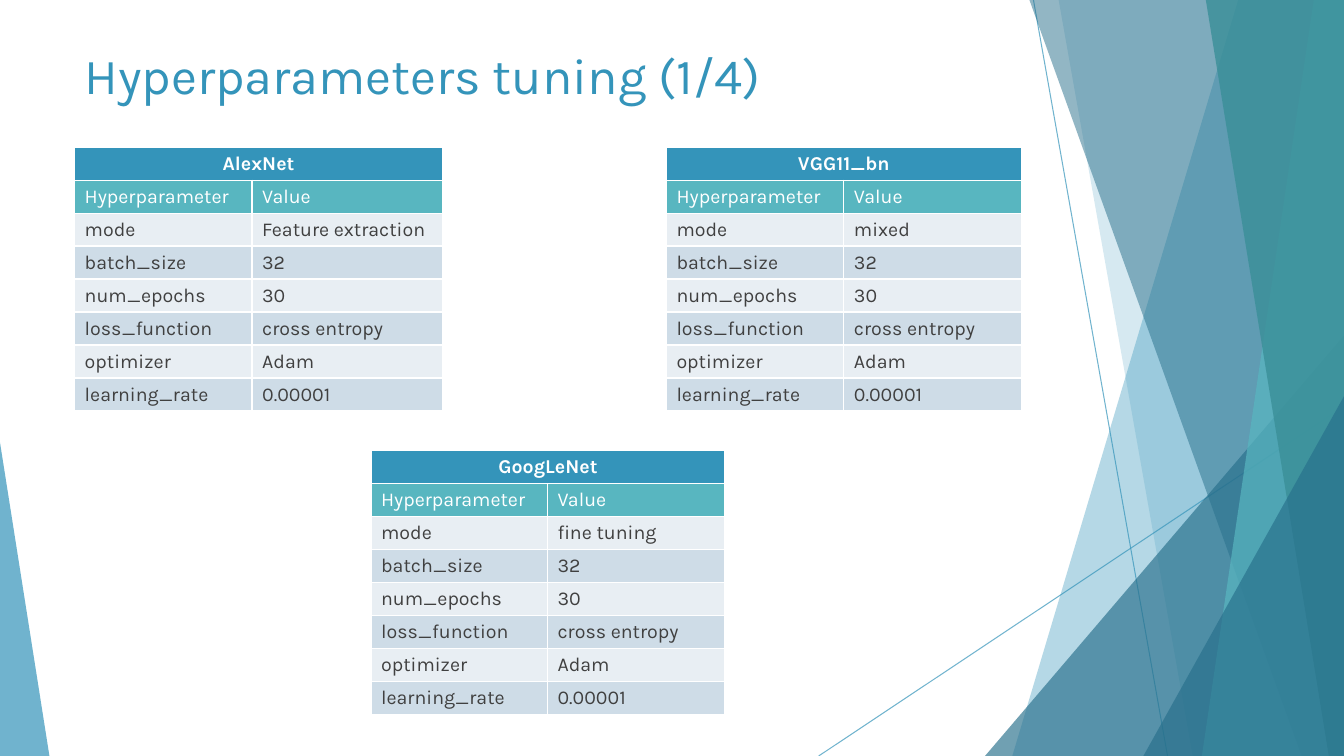
import pptx
import pptx.dml.color
import pptx.enum.shapes
import pptx.enum.text
import pptx.oxml
import pptx.oxml.ns
import pptx.util

Inches = pptx.util.Inches
RGBColor = pptx.dml.color.RGBColor
SHAPES = pptx.enum.shapes.MSO_SHAPE
ALIGN = pptx.enum.text.PP_ALIGN
ANCHOR = pptx.enum.text.MSO_ANCHOR

BLUE = RGBColor(0x34, 0x94, 0xBA)
DEEP_BLUE = RGBColor(0x27, 0x6F, 0x8B)
TEAL = RGBColor(0x58, 0xB6, 0xC0)
DEEP_TEAL = RGBColor(0x3A, 0x8F, 0x98)
PALE_ROW = RGBColor(0xE8, 0xEE, 0xF3)
DARK_ROW = RGBColor(0xCE, 0xDC, 0xE7)
INK = RGBColor(0x40, 0x40, 0x40)
WHITE = RGBColor(0xFF, 0xFF, 0xFF)

WIDTH, HEIGHT = 13.33, 7.5
FONT = "Karla"
ROW_HEIGHT = 0.32
PARAMETERS = ["mode", "batch_size", "num_epochs", "loss_function", "optimizer", "learning_rate"]
SHARED_VALUES = ["32", "30", "cross entropy", "Adam", "0.00001"]
MODELS = [
    ("AlexNet", "Feature extraction", (0.74, 1.46), (1.76, 1.89)),
    ("VGG11_bn", "mixed", (6.61, 1.46), (1.76, 1.76)),
    ("GoogLeNet", "fine tuning", (3.68, 4.47), (1.75, 1.76)),
]


def apply_format(target, values):
    """Set each attribute named in values on target."""
    for attribute, value in values.items():
        setattr(target, attribute, value)


def format_text(frame, size, color, bold=False, align=ALIGN.LEFT):
    """Give the first paragraph of a frame its font and alignment."""
    paragraph = frame.paragraphs[0]
    paragraph.alignment = align
    font = paragraph.runs[0].font
    apply_format(font, {"name": FONT, "size": pptx.util.Pt(size), "bold": bold})
    font.color.rgb = color


def set_opacity(fill_parent, percent):
    """Make the solid colour inside an element partly transparent."""
    color = fill_parent.find(".//" + pptx.oxml.ns.qn("a:srgbClr"))
    color.append(pptx.oxml.parse_xml(
        f'<a:alpha {pptx.oxml.ns.nsdecls("a")} val="{percent * 1000}"/>'))


def paint(facet, color, opacity):
    """Fill a facet with a translucent colour and no outline."""
    facet.shadow.inherit = False
    facet.fill.solid()
    facet.fill.fore_color.rgb = color
    facet.line.fill.background()
    set_opacity(facet._element.spPr, opacity)


def add_ray(slide, start, end):
    """Draw a thin translucent line across the facets."""
    ray = slide.shapes.add_connector(
        pptx.enum.shapes.MSO_CONNECTOR.STRAIGHT, *map(Inches, start + end))
    ray.line.color.rgb = BLUE
    ray.line.width = pptx.util.Pt(0.75)
    set_opacity(ray._element.spPr, 70)
    ray._element.spPr.append(pptx.oxml.parse_xml(
        f'<a:effectLst {pptx.oxml.ns.nsdecls("a")}/>'))


def add_band(slide, right, bottom, top_x, bottom_x, color, opacity):
    """Draw a full-height band with a slanted left edge."""
    corners = [(top_x, 0), (right, 0), (right, bottom), (bottom_x, bottom)]
    points = [(Inches(x), Inches(y)) for x, y in corners]
    outline = slide.shapes.build_freeform(*points[0])
    outline.add_line_segments(points[1:], close=True)
    paint(outline.convert_to_shape(), color, opacity)


def add_corner(slide, left, bottom, width, height, apex, color, opacity):
    """Draw a right triangle standing on the bottom edge."""
    corner = slide.shapes.add_shape(
        SHAPES.ISOSCELES_TRIANGLE,
        *map(Inches, (left, bottom - height, width, height)))
    corner.adjustments[0] = apex
    paint(corner, color, opacity)


def add_facets(slide, left, top, width, height):
    """Build the decoration along the sides of the given box."""
    right, bottom = left + width, top + height
    add_ray(slide, (right - 3.08, top), (right - 1.75, bottom))
    add_ray(slide, (right, top + 4.03), (right - 5.21, bottom))
    add_band(slide, right, bottom, right - 1.05, right - 3.29, BLUE, 36)
    add_band(slide, right, bottom, right - 2.83, right - 1.5, BLUE, 20)
    add_corner(slide, right - 3.56, bottom, 3.56, 4.17, 1, DEEP_BLUE, 66)
    add_band(slide, right, bottom, right - 3.12, right - 0.42, DEEP_BLUE, 50)
    add_band(slide, right, bottom, right - 0.3, right - 1.41, TEAL, 70)
    add_band(slide, right, bottom, right - 1.37, right - 0.15, DEEP_TEAL, 80)
    add_corner(slide, right - 1.99, bottom, 1.99, 3.57, 1, DEEP_BLUE, 66)
    add_corner(slide, left, bottom, 0.49, 3.11, 0, BLUE, 70)


def add_title(slide, left, top, width, height):
    """Place the slide title in the given box."""
    title = slide.shapes.title
    apply_format(title, {"left": Inches(left), "top": Inches(top),
                         "width": Inches(width), "height": Inches(height)})
    title.text_frame.text = "Hyperparameters tuning (1/4)"
    title.text_frame.vertical_anchor = ANCHOR.MIDDLE
    format_text(title.text_frame, 36, BLUE)


def add_model_table(slide, model, mode, position, column_widths):
    """Place the hyperparameter table of one model."""
    rows = [(model, ""), ("Hyperparameter", "Value")]
    rows += zip(PARAMETERS, [mode] + SHARED_VALUES)
    box = (*position, sum(column_widths), ROW_HEIGHT * len(rows))
    table = slide.shapes.add_table(len(rows), 2, *map(Inches, box)).table
    for column, width in zip(table.columns, column_widths):
        column.width = Inches(width)
    table.cell(0, 0).merge(table.cell(0, 1))
    fills = [BLUE, TEAL] + [PALE_ROW, DARK_ROW] * 3
    for row_index, (texts, fill) in enumerate(zip(rows, fills)):
        is_model = row_index == 0
        for column_index, text in enumerate(texts):
            cell = table.cell(row_index, column_index)
            cell.fill.solid()
            cell.fill.fore_color.rgb = fill
            if text:
                cell.text = text
                format_text(cell.text_frame, 14, WHITE if row_index < 2 else INK,
                            is_model, ALIGN.CENTER if is_model else ALIGN.LEFT)


def main():
    """Build the slide and save it."""
    deck = pptx.Presentation()
    apply_format(deck, {"slide_width": Inches(WIDTH), "slide_height": Inches(HEIGHT)})
    slide = deck.slides.add_slide(deck.slide_layouts[5])
    add_facets(slide, 0, 0, WIDTH, HEIGHT)
    add_title(slide, 0.74, 0.02, 9.4, 1.44)
    for model in MODELS:
        add_model_table(slide, *model)
    deck.save("out.pptx")


if __name__ == "__main__":
    main()
